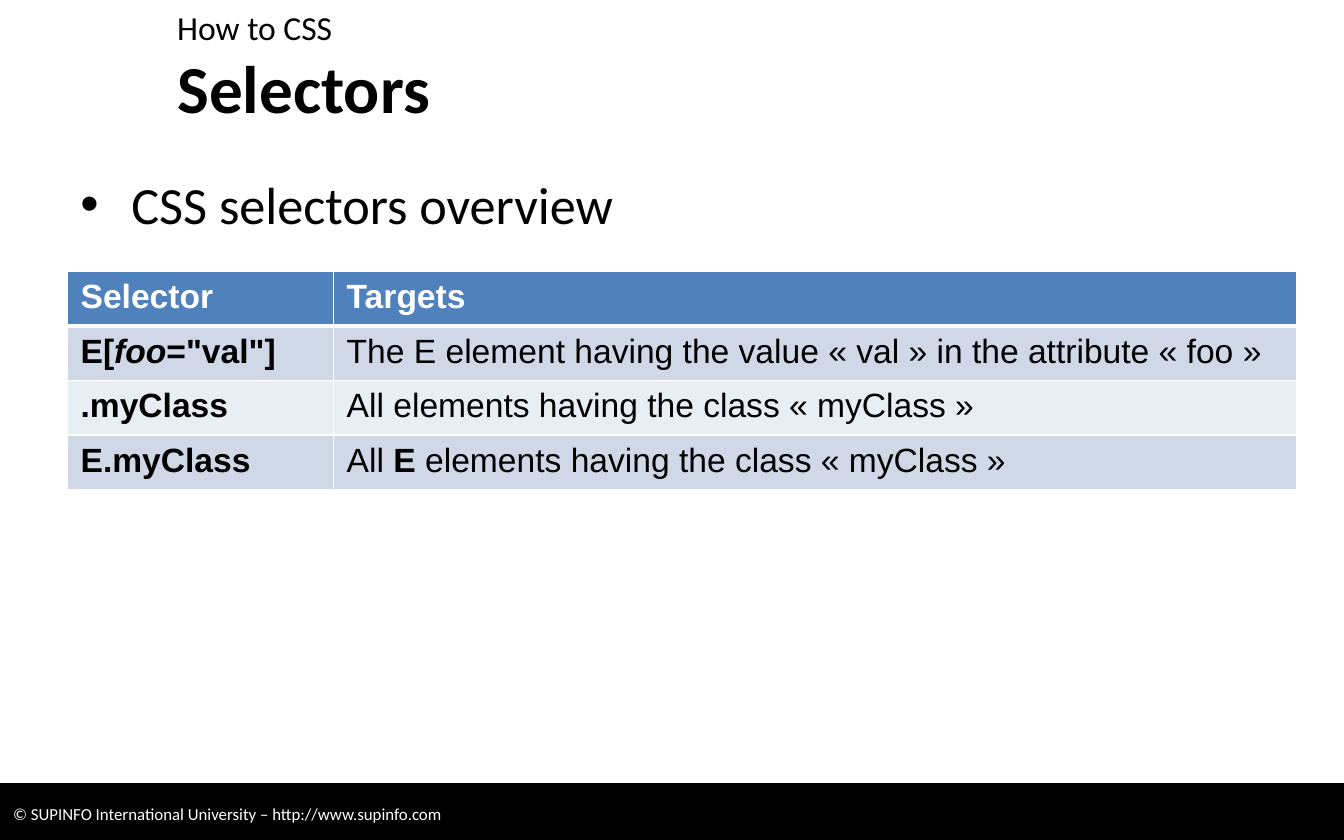
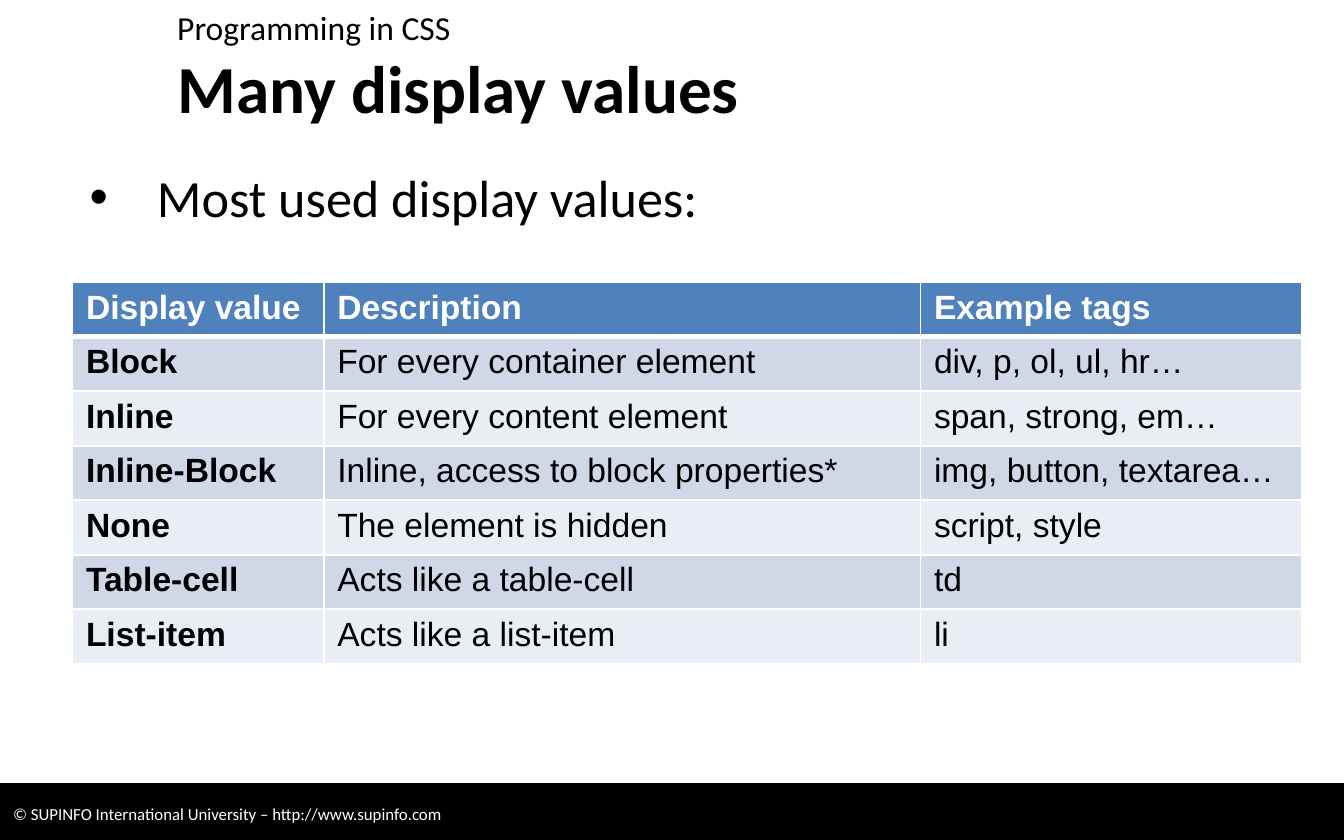
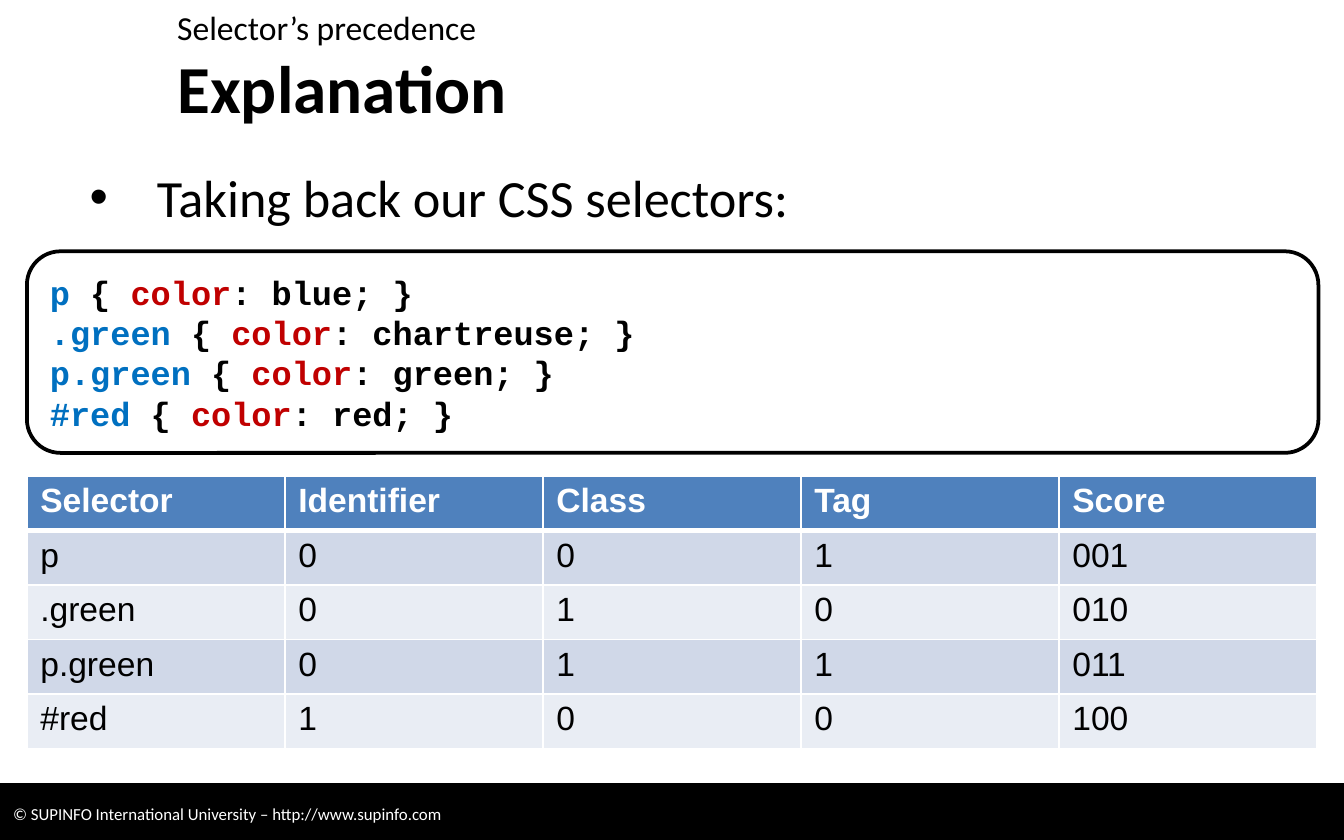
import pptx
import pptx.dml.color
import pptx.enum.shapes
import pptx.enum.text
import pptx.oxml
import pptx.oxml.ns
import pptx.util

Inches = pptx.util.Inches
Pt = pptx.util.Pt

BLACK, WHITE = "000000", "FFFFFF"
HEADER_BLUE, ODD_ROW, EVEN_ROW = "4F81BD", "D0D8E8", "E9EDF4"
SELECTOR_BLUE, PROPERTY_RED = "0070C0", "C00000"
HEADING_FONT, TABLE_FONT, CODE_FONT = "Calibri", "Arial", "Courier New"
ROW_HEIGHT = Pt(29.2)
FOOTER = "© SUPINFO International University – http://www.supinfo.com"

WIDE_BULLET = {"box": (0.51, 1.23, 9.06, 4.63), "margin": 0.56, "hanging": 0.5,
               "line_spacing": 0.9}
NARROW_BULLET = {"box": (0.5, 1.23, 9.23, 4.63), "margin": 0.38, "hanging": 0.38,
                 "line_spacing": 1.0}

# A cell is a string, or a list of (text, bold, italic) runs.
SLIDES = [
    {
        "section": "How to CSS",
        "title": "Selectors",
        "bullet": "CSS selectors overview",
        "bullet_style": NARROW_BULLET,
        "table_at": (0.5, 2.02),
        "columns": [1.98, 7.17],
        "bold_first_column": True,
        "rows": [
            ["Selector", "Targets"],
            [[("E[", True, False), ("foo", True, True), ('="val"]', True, False)],
             "The E element having the value « val » in the attribute « foo »"],
            [".myClass", "All elements having the class « myClass »"],
            ["E.myClass",
             [("All ", False, False), ("E ", True, False),
              ("elements having the class « myClass »", False, False)]],
        ],
    },
    {
        "section": "Programming in CSS",
        "title": "Many display values",
        "bullet": "Most used display values:",
        "bullet_style": WIDE_BULLET,
        "table_at": (0.54, 2.1),
        "columns": [1.87, 4.44, 2.84],
        "bold_first_column": True,
        "rows": [
            ["Display value", "Description", "Example tags"],
            ["Block", "For every container element", "div, p, ol, ul, hr…"],
            ["Inline", "For every content element", "span, strong, em…"],
            ["Inline-Block", "Inline, access to block properties*", "img, button, textarea…"],
            ["None", "The element is hidden", "script, style"],
            ["Table-cell", "Acts like a table-cell", "td"],
            ["List-item", "Acts like a list-item", "li"],
        ],
    },
    {
        "section": "Selector’s precedence",
        "title": "Explanation",
        "bullet": "Taking back our CSS selectors:",
        "bullet_style": WIDE_BULLET,
        "table_at": (0.2, 3.54),
        "columns": [1.92] * 5,
        "bold_first_column": False,
        "rows": [
            ["Selector", "Identifier", "Class", "Tag", "Score"],
            ["p", "0", "0", "1", "001"],
            [".green", "0", "1", "0", "010"],
            ["p.green", "0", "1", "1", "011"],
            ["#red", "1", "0", "0", "100"],
        ],
        "css_rules": [("p", "blue"), (".green", "chartreuse"),
                      ("p.green", "green"), ("#red", "red")],
    },
]


def rgb(color):
    return pptx.dml.color.RGBColor.from_string(color)


def inches(*lengths):
    return [Inches(length) for length in lengths]


def add_run(paragraph, text, size, font, color, bold=False, italic=False):
    run = paragraph.add_run()
    run.text = text
    run.font.size = Pt(size)
    run.font.name = font
    run.font.color.rgb = rgb(color)
    run.font.bold = bold
    run.font.italic = italic


def add_text_box(slide, box):
    frame = slide.shapes.add_textbox(*inches(*box)).text_frame
    frame.word_wrap = True
    return frame.paragraphs[0]


def add_filled_shape(slide, kind, box, fill, line_width):
    shape = slide.shapes.add_shape(kind, *inches(*box))
    shape.shadow.inherit = False
    shape.fill.solid()
    shape.fill.fore_color.rgb = rgb(fill)
    shape.line.color.rgb = rgb(BLACK)
    shape.line.width = Pt(line_width)
    shape.text_frame.word_wrap = True
    shape.text_frame.vertical_anchor = pptx.enum.text.MSO_ANCHOR.MIDDLE
    return shape


def add_footer(slide):
    band = add_filled_shape(slide, pptx.enum.shapes.MSO_SHAPE.RECTANGLE,
                            (0, 5.83, 10, 0.45), BLACK, 0.75)
    paragraph = band.text_frame.paragraphs[0]
    paragraph.alignment = pptx.enum.text.PP_ALIGN.LEFT
    add_run(paragraph, FOOTER, 9, HEADING_FONT, WHITE)


def add_heading(slide, section, title):
    placeholder = slide.shapes.title
    placeholder.left, placeholder.top, placeholder.width, placeholder.height = inches(
        1.22, 0.37, 8.51, 0.55)
    frame = placeholder.text_frame
    frame.auto_size = pptx.enum.text.MSO_AUTO_SIZE.NONE
    frame.vertical_anchor = pptx.enum.text.MSO_ANCHOR.MIDDLE
    frame.paragraphs[0].alignment = pptx.enum.text.PP_ALIGN.LEFT
    add_run(frame.paragraphs[0], title, 36, HEADING_FONT, BLACK, bold=True)
    add_run(add_text_box(slide, (1.22, 0, 8.51, 0.37)), section, 18, HEADING_FONT, BLACK)


def add_bullet(slide, text, style):
    paragraph = add_text_box(slide, style["box"])
    properties = paragraph._p.get_or_add_pPr()
    properties.set("marL", str(Inches(style["margin"])))
    properties.set("indent", str(-Inches(style["hanging"])))
    namespace = pptx.oxml.ns.nsdecls("a")
    properties.append(pptx.oxml.parse_xml(f'<a:buFont {namespace} typeface="Arial"/>'))
    properties.append(pptx.oxml.parse_xml(f'<a:buChar {namespace} char="•"/>'))
    paragraph.line_spacing = style["line_spacing"]
    add_run(paragraph, text, 28, HEADING_FONT, BLACK)


def set_borders(cell, top, bottom):
    """Draw white borders: 1 pt at the sides, the given widths above and below."""
    for side, width in (("L", 1), ("R", 1), ("T", top), ("B", bottom)):
        cell._tc.get_or_add_tcPr().append(pptx.oxml.parse_xml(
            f'<a:ln{side} {pptx.oxml.ns.nsdecls("a")} w="{Pt(width)}">'
            f'<a:solidFill><a:srgbClr val="{WHITE}"/></a:solidFill></a:ln{side}>'))


def add_table(slide, position, columns, rows, bold_first_column):
    left, top = inches(*position)
    table = slide.shapes.add_table(len(rows), len(columns), left, top,
                                   Inches(sum(columns)), ROW_HEIGHT * len(rows)).table
    for column, width in zip(table.columns, columns):
        column.width = Inches(width)
    for row_index, row in enumerate(rows):
        table.rows[row_index].height = ROW_HEIGHT
        is_header = row_index == 0
        fill = HEADER_BLUE if is_header else ODD_ROW if row_index % 2 else EVEN_ROW
        for column_index, content in enumerate(row):
            cell = table.cell(row_index, column_index)
            set_borders(cell, 3 if row_index == 1 else 1, 3 if is_header else 1)
            cell.fill.solid()
            cell.fill.fore_color.rgb = rgb(fill)
            if isinstance(content, str):
                bold = is_header or (bold_first_column and column_index == 0)
                content = [(content, bold, False)]
            for text, bold, italic in content:
                add_run(cell.text_frame.paragraphs[0], text, 18, TABLE_FONT,
                        WHITE if is_header else BLACK, bold, italic)


def add_code_box(slide, css_rules):
    box = add_filled_shape(slide, pptx.enum.shapes.MSO_SHAPE.ROUNDED_RECTANGLE,
                           (0.2, 1.87, 9.61, 1.5), WHITE, 2)
    frame = box.text_frame
    for index, (selector, value) in enumerate(css_rules):
        paragraph = frame.add_paragraph() if index else frame.paragraphs[0]
        paragraph.alignment = pptx.enum.text.PP_ALIGN.LEFT
        for text, color in ((f"{selector} ", SELECTOR_BLUE), ("{ ", BLACK),
                            ("color", PROPERTY_RED), (f": {value}; }}", BLACK)):
            add_run(paragraph, text, 18, CODE_FONT, color, bold=True)


def main():
    presentation = pptx.Presentation()
    presentation.slide_width, presentation.slide_height = inches(10, 6.25)
    title_only = presentation.slide_layouts[5]
    for content in SLIDES:
        slide = presentation.slides.add_slide(title_only)
        add_footer(slide)
        add_heading(slide, content["section"], content["title"])
        add_bullet(slide, content["bullet"], content["bullet_style"])
        add_table(slide, content["table_at"], content["columns"], content["rows"],
                  content["bold_first_column"])
        if "css_rules" in content:
            add_code_box(slide, content["css_rules"])
    presentation.save("out.pptx")


if __name__ == "__main__":
    main()
